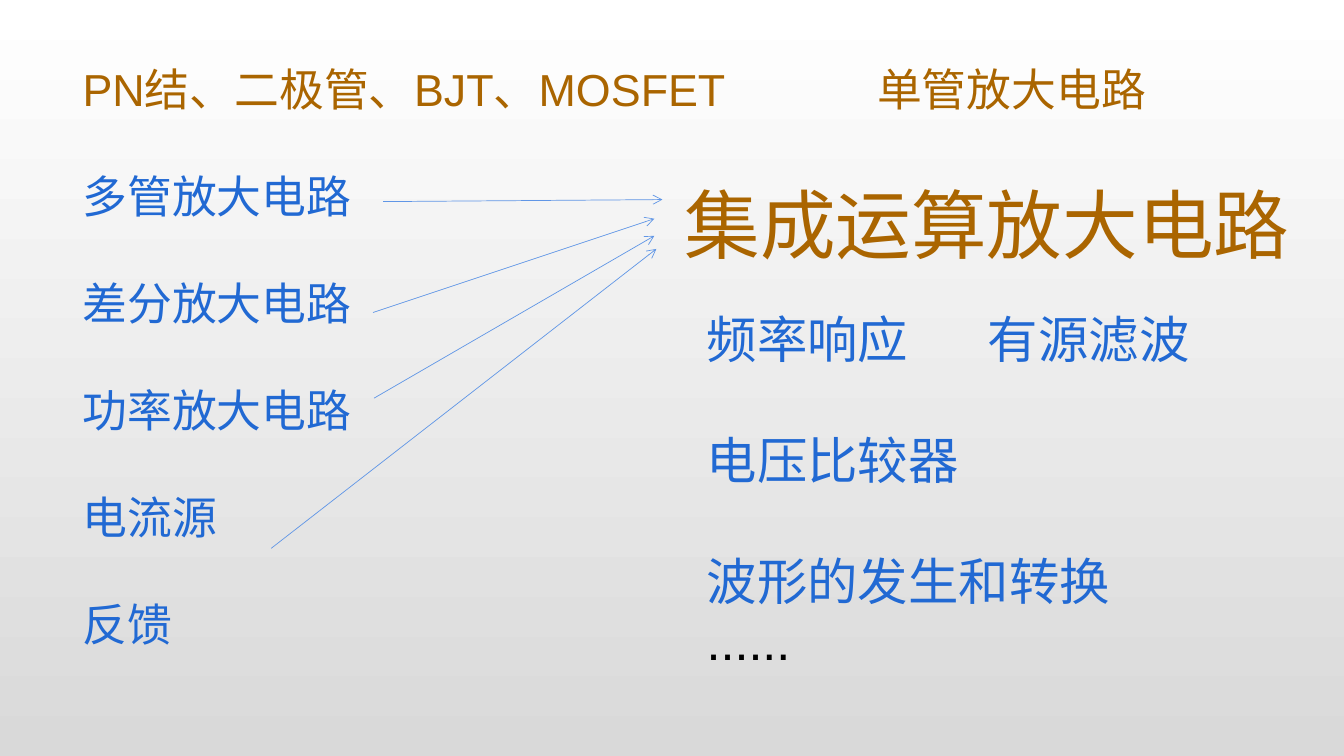
from typing import NamedTuple

from lxml.etree import SubElement
from pptx import Presentation
from pptx.dml.color import RGBColor
from pptx.enum.shapes import MSO_CONNECTOR
from pptx.enum.text import MSO_AUTO_SIZE
from pptx.oxml.ns import qn
from pptx.util import Pt

PX = 9144
FONT = "Arial"
WHITE = RGBColor(0xFF, 0xFF, 0xFF)
GREY = RGBColor(0xD9, 0xD9, 0xD9)
BROWN = RGBColor(0xAA, 0x65, 0x00)
BLUE = RGBColor(0x21, 0x69, 0xD3)
BLACK = RGBColor(0x00, 0x00, 0x00)
ARROW_BLUE = RGBColor(0x60, 0x96, 0xE6)


class Line(NamedTuple):
    text: str
    color: RGBColor
    before: int = 0
    tab: int = 0


class Box(NamedTuple):
    left: int
    top: int
    width: int
    height: int
    size: int
    lines: list[Line]


class Arrow(NamedTuple):
    x1: int
    y1: int
    x2: int
    y2: int


CIRCUITS = ["多管放大电路", "差分放大电路", "功率放大电路", "电流源", "反馈"]
APPLICATIONS = ["电压比较器", "波形的发生和转换"]

BOXES = [
    Box(72, 56, 1121, 602, 32,
        [Line("PN结、二极管、BJT、MOSFET\t单管放大电路", BROWN, tab=788)]
        + [Line(name, BLUE, before=38) for name in CIRCUITS]),
    Box(669, 172, 640, 101, 54, [Line("集成运算放大电路", BROWN)]),
    Box(691, 301, 531, 434, 36,
        [Line("频率响应\t有源滤波", BLUE, tab=279)]
        + [Line(name, BLUE, before=43) for name in APPLICATIONS]
        + [Line("......", BLACK)]),
]

ARROWS = [
    Arrow(380, 200, 657, 198),
    Arrow(370, 310, 649, 217),
    Arrow(371, 395, 649, 234),
    Arrow(269, 544, 651, 247),
]


def add_box(s, box: Box) -> None:
    sp = s.shapes.add_textbox(box.left * PX, box.top * PX, box.width * PX, box.height * PX)
    tf = sp.text_frame
    tf.word_wrap = True
    tf.auto_size = MSO_AUTO_SIZE.SHAPE_TO_FIT_TEXT
    for i, line in enumerate(box.lines):
        p = tf.add_paragraph() if i else tf.paragraphs[0]
        p.text = line.text
        if line.before:
            p.space_before = Pt(line.before)
        if line.tab:
            tabs = SubElement(p._p.get_or_add_pPr(), qn("a:tabLst"))
            SubElement(tabs, qn("a:tab"), pos=str(line.tab * PX), algn="l")
        p.font.name = FONT
        p.font.size = Pt(box.size)
        p.font.color.rgb = line.color


def add_arrow(s, arrow: Arrow) -> None:
    c = s.shapes.add_connector(MSO_CONNECTOR.STRAIGHT, *(v * PX for v in arrow))
    c.line.color.rgb = ARROW_BLUE
    c.line.width = Pt(0.5)
    SubElement(c.line._get_or_add_ln(), qn("a:tailEnd"), type="arrow")
    SubElement(c._element.spPr, qn("a:effectLst"))


def main() -> None:
    prs = Presentation()
    prs.slide_width, prs.slide_height = 1333 * PX, 750 * PX
    s = prs.slides.add_slide(prs.slide_layouts[6])
    fill = s.background.fill
    fill.gradient()
    fill.gradient_angle = 270
    for stop, color in zip(fill.gradient_stops, (WHITE, GREY)):
        stop.color.rgb = color
    for arrow in ARROWS:
        add_arrow(s, arrow)
    for box in BOXES:
        add_box(s, box)
    prs.save("out.pptx")


if __name__ == "__main__":
    main()
